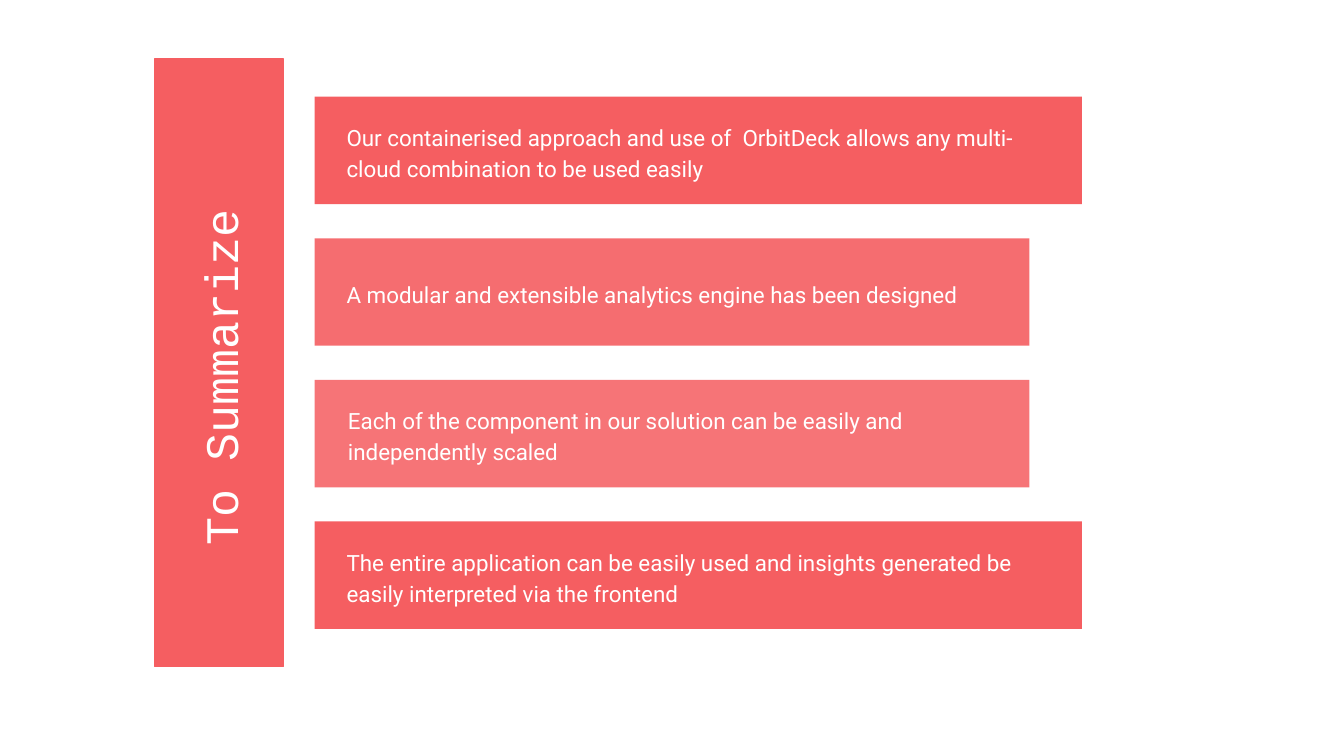
import pptx
import pptx.util
from lxml import etree
from pptx.dml.color import RGBColor
from pptx.enum.shapes import MSO_SHAPE
from pptx.enum.text import MSO_ANCHOR, PP_ALIGN
from pptx.oxml.ns import qn
from pptx.util import Inches

CORAL = RGBColor(0xF5, 0x5E, 0x61)
WHITE = RGBColor(0xFF, 0xFF, 0xFF)

BAR_LEFT, BAR_HEIGHT = 2.34, 0.8
FIRST_TOP, LAST_TOP = 0.72, 3.88
LABEL_INSET = 0.09

# Text, bar width, label left, label width, label height, opacity in percent
POINTS = [
    ("Our containerised approach and use of  OrbitDeck allows any "
     "multi-cloud combination to be used easily", 5.71, 2.48, 5.21, 0.63, 100),
    ("A modular and extensible analytics engine has been designed",
     5.32, 2.48, 4.78, 0.36, 90),
    ("Each of the component in our solution can be easily and "
     "independently scaled", 5.32, 2.49, 4.55, 0.36, 86),
    ("The entire application can be easily used and insights generated be "
     "easily interpreted via the frontend", 5.71, 2.48, 5.21, 0.63, 100),
]


def add_bar(s, left, top, width, height, opacity=100):
    bar = s.shapes.add_shape(MSO_SHAPE.RECTANGLE, Inches(left), Inches(top),
                             Inches(width), Inches(height))
    bar.shadow.inherit = False
    bar.fill.solid()
    bar.fill.fore_color.rgb = CORAL
    bar.line.fill.background()
    if opacity < 100:
        color = bar.fill._xPr.find(qn("a:solidFill"))[0]
        etree.SubElement(color, qn("a:alpha"), val=str(opacity * 1000))
    return bar


def add_text_box(s, left, top, width, height):
    return s.shapes.add_textbox(Inches(left), Inches(top),
                                Inches(width), Inches(height))


def set_text(sp, text, font, size, alignment, anchor, margin):
    tf = sp.text_frame
    tf.word_wrap = True
    tf.vertical_anchor = anchor
    tf.margin_top = tf.margin_bottom = Inches(margin)
    tf.text = text
    p = tf.paragraphs[0]
    p.alignment = alignment
    r = p.runs[0]
    r.font.name = font
    r.font.size = pptx.util.Pt(size)
    r.font.color.rgb = WHITE
    return p


def add_title(s):
    banner = add_bar(s, 1.15, 0.44, 0.96, 4.52)
    banner.line.color.rgb = CORAL
    banner.line.width = pptx.util.Pt(0.75)
    title = add_text_box(s, -1.26, 2.5, 5.79, 0.62)
    title.rotation = 270
    set_text(title, "To Summarize", "Courier New", 25,
             PP_ALIGN.CENTER, MSO_ANCHOR.TOP, 0.1)


def add_point(s, top, text, bar_width, left, width, height, opacity):
    add_bar(s, BAR_LEFT, top, bar_width, BAR_HEIGHT, opacity)
    # Solid bars carry a filled label, translucent ones a plain text box
    if opacity == 100:
        label = add_bar(s, left, top + LABEL_INSET, width, height)
    else:
        label_top = top + LABEL_INSET + (0.63 - height) / 2
        label = add_text_box(s, left, label_top, width, height)
    p = set_text(label, text, "Roboto", 12,
                 PP_ALIGN.LEFT, MSO_ANCHOR.MIDDLE, 0.05)
    p.line_spacing = 1.15


def main():
    prs = pptx.Presentation()
    prs.slide_width = Inches(10)
    prs.slide_height = prs.slide_width * 9 // 16
    s = prs.slides.add_slide(prs.slide_layouts[6])

    # Vertical title banner
    add_title(s)

    # Summary points, evenly spaced
    pitch = (LAST_TOP - FIRST_TOP) / (len(POINTS) - 1)
    for index, point in enumerate(POINTS):
        add_point(s, FIRST_TOP + index * pitch, *point)

    prs.save("out.pptx")


if __name__ == "__main__":
    main()
